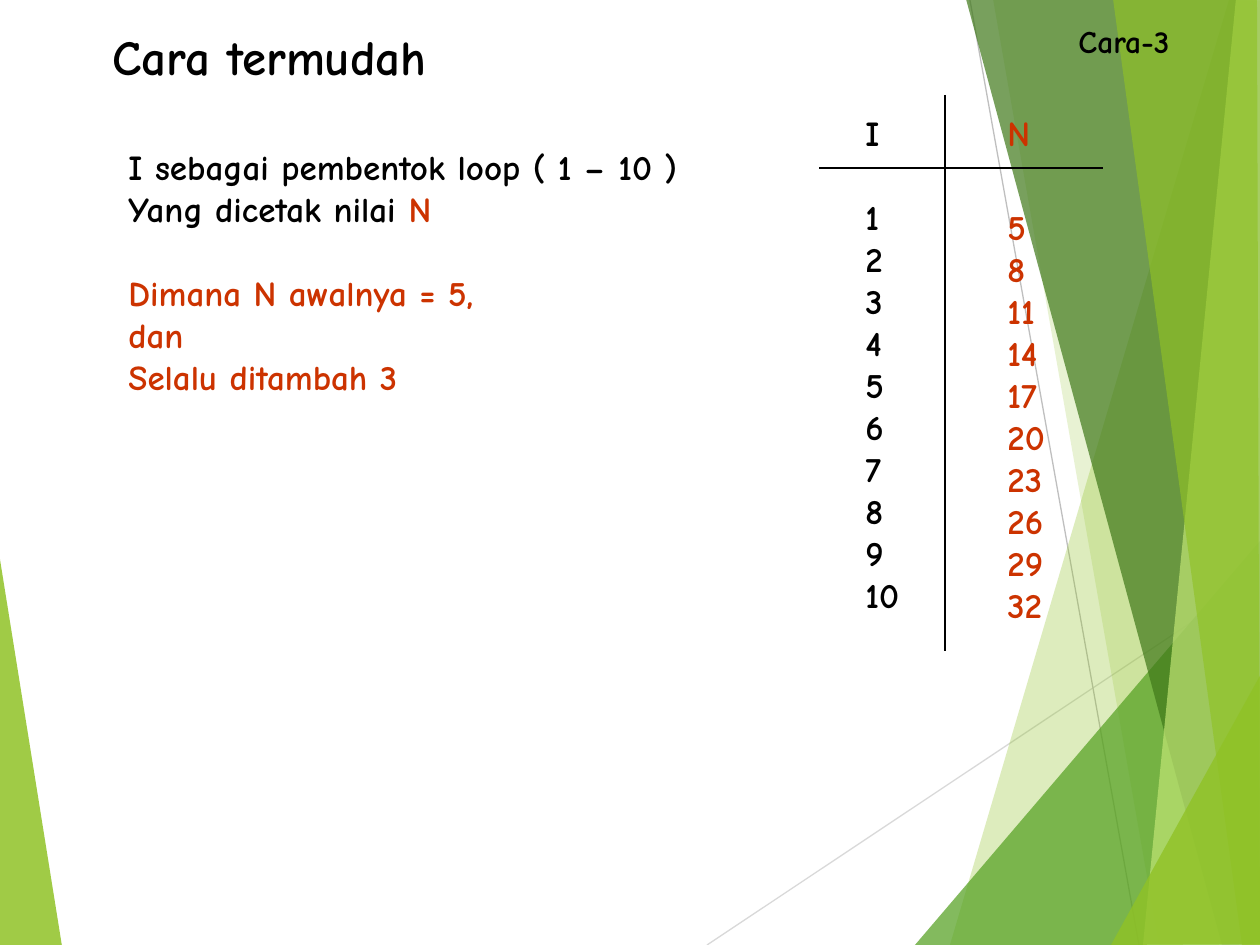
import pptx
import pptx.dml.color
import pptx.enum.shapes
import pptx.enum.text
import pptx.oxml.ns
import pptx.util
from lxml import etree

PX = 914400 / 126
WIDTH, HEIGHT = 1260, 945

THEME = {
    "font": "Comic Neue",
    "ink": "000000", "accent": "CC3300",
    "lime": "90C226", "green": "54A021", "forest": "3F7819", "pale": "C0E474",
    "grey": "BFBFBF", "light grey": "D9D9D9",
    "title": 28, "body": 20, "label": 18, "line": 0.75,
}

# Content: a paragraph is (spans, space before in points); a span is (text, colour)
GAP = 24  # height of one body line
TITLE = [([("Cara termudah", "ink")], 0)]
LABEL = [([("Cara-3", "ink")], 0)]
EXPLANATION = [
    ([("I sebagai pembentok loop ( 1 – 10 )", "ink")], 0),
    ([("Yang dicetak nilai ", "ink"), ("N", "accent")], 0),
    ([("Dimana N awalnya = 5,", "accent")], GAP),
    ([("dan", "accent")], 0),
    ([("Selalu ditambah 3", "accent")], 0),
]
COUNTERS = [([("I", "ink")], 0)] + [
    ([(str(i), "ink")], GAP if i == 1 else 0) for i in range(1, 11)]
HEADER_N = [([("N", "accent")], 0)]
VALUES_N = [([(str(5 + 3 * i), "accent")], 0) for i in range(10)]

# Text boxes: paragraphs, size, (left, top, width, height)
TITLE_PLACE = (100, 20, 341, 71)
BOXES = [
    (COUNTERS, "body", (853, 105, 59, 517)),
    (HEADER_N, "body", (995, 105, 48, 139)),
    (LABEL, "label", (1066, 16, 117, 50)),
    (EXPLANATION, "body", (116, 139, 575, 265)),
    (VALUES_N, "body", (995, 199, 63, 433)),
]

# Lines: colour, start, end
BACKGROUND_LINES = [
    ("light grey", (707, 945), (1261, 576)),
    ("grey", (970, 0), (1139, 945)),
]
TABLE_LINES = [
    ("ink", (945, 95), (945, 651)),
    ("ink", (819, 168), (1103, 168)),
]

# Facets: colour, opacity in percent, corners
FACETS = [
    ("lime", 85, [(-1, 553), (62, 946), (-1, 945)]),
    ("lime", 30, [(1229, 0), (950, 945), (1262, 946), (1261, 1)]),
    ("lime", 20, [(993, -1), (1159, 945), (1261, 945), (1261, -1)]),
    ("green", 72, [(915, 945), (1260, 541), (1261, 945)]),
    ("forest", 70, [(966, -1), (1222, 945), (1261, 944), (1261, -1)]),
    ("pale", 70, [(1236, -1), (1143, 945), (1261, 945), (1260, -1)]),
    ("lime", 65, [(1113, -1), (1242, 945), (1260, 945), (1257, -1)]),
    ("lime", 80, [(1111, 945), (1261, 674), (1261, 944)]),
]


def emu(*lengths):
    return [pptx.util.Emu(round(length * PX)) for length in lengths]


def colour(name):
    return pptx.dml.color.RGBColor.from_string(THEME[name])


def apply(target, values):
    for name, value in values.items():
        setattr(target, name, value)


def add_line(page, tint, start, end):
    line = page.shapes.add_connector(
        pptx.enum.shapes.MSO_CONNECTOR.STRAIGHT, *emu(*start, *end))
    line.line.color.rgb = colour(tint)
    line.line.width = pptx.util.Pt(THEME["line"])
    etree.SubElement(line._element.spPr, pptx.oxml.ns.qn("a:effectLst"))


def add_facet(page, tint, opacity, corners):
    builder = page.shapes.build_freeform(*corners[0], scale=PX)
    builder.add_line_segments(corners[1:], close=True)
    facet = builder.convert_to_shape()
    facet.shadow.inherit = False
    facet.line.fill.background()
    facet.fill.solid()
    facet.fill.fore_color.rgb = colour(tint)
    tone = facet._element.spPr.find(".//" + pptx.oxml.ns.qn("a:srgbClr"))
    etree.SubElement(tone, pptx.oxml.ns.qn("a:alpha"), val=str(opacity * 1000))


def write(box, paragraphs, size, place):
    apply(box, dict(zip(("left", "top", "width", "height"), emu(*place))))
    frame = box.text_frame
    apply(frame, {
        "word_wrap": False,
        "auto_size": pptx.enum.text.MSO_AUTO_SIZE.NONE,
        "vertical_anchor": pptx.enum.text.MSO_ANCHOR.TOP,
    })
    for index, (spans, space) in enumerate(paragraphs):
        para = frame.add_paragraph() if index else frame.paragraphs[0]
        apply(para, {"alignment": pptx.enum.text.PP_ALIGN.LEFT,
                     "space_before": pptx.util.Pt(space)})
        for text, tint in spans:
            span = para.add_run()
            span.text = text
            apply(span.font, {"name": THEME["font"], "bold": True,
                              "size": pptx.util.Pt(THEME[size])})
            span.font.color.rgb = colour(tint)


def main():
    deck = pptx.Presentation()
    deck.slide_width, deck.slide_height = emu(WIDTH, HEIGHT)
    page = deck.slides.add_slide(deck.slide_layouts.get_by_name("Title Only"))

    # Background lines and facets
    for line in BACKGROUND_LINES:
        add_line(page, *line)
    for facet in FACETS:
        add_facet(page, *facet)

    # Title, rules of the I / N table, and text
    write(page.shapes.title, TITLE, "title", TITLE_PLACE)
    for line in TABLE_LINES:
        add_line(page, *line)
    for paragraphs, size, place in BOXES:
        write(page.shapes.add_textbox(*emu(*place)), paragraphs, size, place)

    deck.save("out.pptx")


if __name__ == "__main__":
    main()
